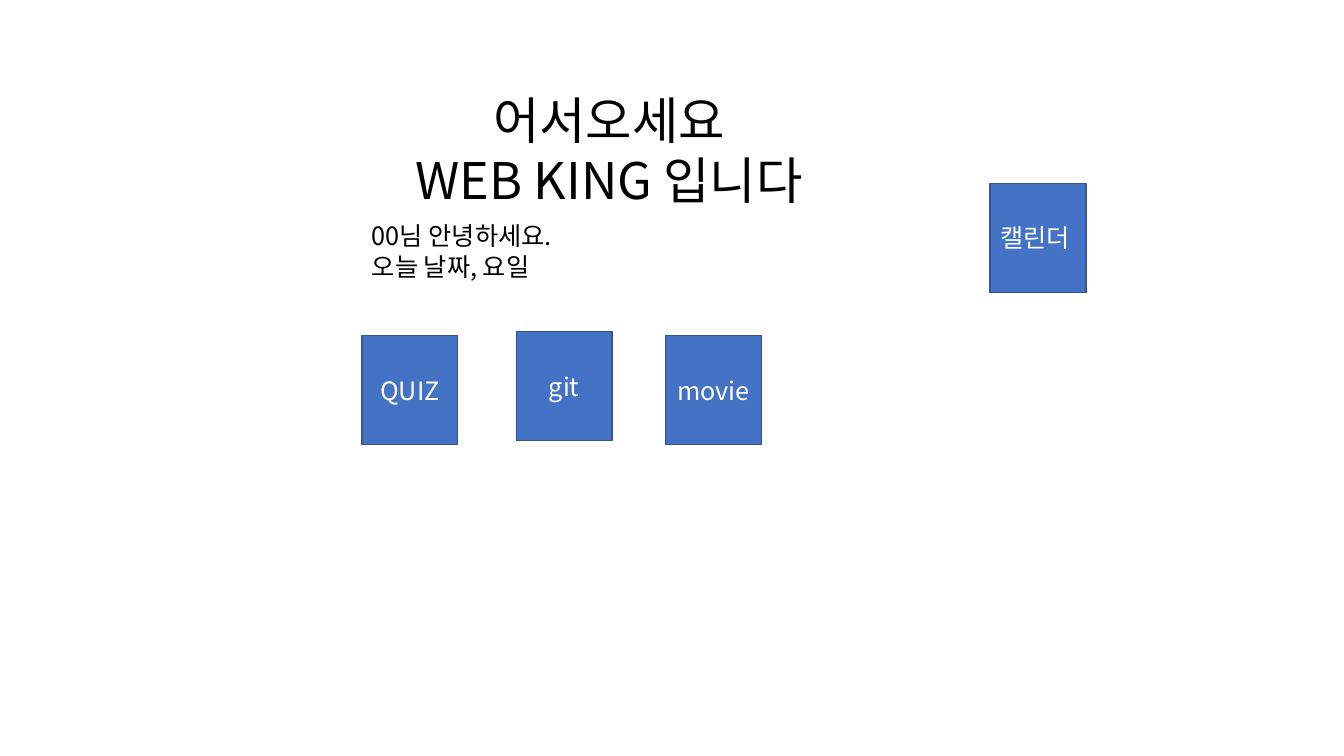
from dataclasses import dataclass

import pptx
import pptx.dml.color
import pptx.enum.shapes
import pptx.enum.text
import pptx.oxml.ns
import pptx.util
from lxml import etree
from pptx.util import Inches

FONT = "Noto Sans CJK KR"
TILE_WIDTH = 0.95
TILE_HEIGHT = 1.08
LEFT = pptx.enum.text.PP_ALIGN.LEFT
CENTER = pptx.enum.text.PP_ALIGN.CENTER


@dataclass
class Message:
    text: str
    left: float
    top: float
    width: float
    height: float
    size: int
    alignment: pptx.enum.text.PP_ALIGN


@dataclass
class Tile:
    label: str
    left: float
    top: float


MESSAGES = [
    Message("어서오세요\vWEB KING 입니다", 3.83, 0.83, 4.42, 1.31, 36, CENTER),
    Message("00님 안녕하세요.\v오늘 날짜, 요일", 3.59, 2.14, 2.48, 1.01, 18, LEFT),
]
TILES = [
    Tile("QUIZ", 3.59, 3.33),
    Tile("git", 5.12, 3.29),
    Tile("movie", 6.6, 3.33),
    Tile("캘린더 ", 9.82, 1.82),
]


def color(value: str) -> pptx.dml.color.RGBColor:
    return pptx.dml.color.RGBColor.from_string(value)


def write(frame, text: str, size: int, ink: str, alignment) -> None:
    frame.word_wrap = True
    para = frame.paragraphs[0]
    para.text = text
    para.alignment = alignment
    font = para.font
    font.name = FONT
    font.size = pptx.util.Pt(size)
    font.color.rgb = color(ink)
    east_asian = etree.SubElement(font._element, pptx.oxml.ns.qn("a:ea"))
    east_asian.set("typeface", FONT)


def draw_message(page, message: Message) -> None:
    box = page.shapes.add_textbox(
        Inches(message.left), Inches(message.top),
        Inches(message.width), Inches(message.height))
    write(box.text_frame, message.text, message.size, "000000", message.alignment)


def draw_tile(page, tile: Tile) -> None:
    box = page.shapes.add_shape(
        pptx.enum.shapes.MSO_SHAPE.RECTANGLE,
        Inches(tile.left), Inches(tile.top),
        Inches(TILE_WIDTH), Inches(TILE_HEIGHT))
    box.shadow.inherit = False
    box.fill.solid()
    box.fill.fore_color.rgb = color("4472C4")
    box.line.color.rgb = color("325491")
    box.line.width = pptx.util.Pt(1)
    box.text_frame.vertical_anchor = pptx.enum.text.MSO_ANCHOR.MIDDLE
    write(box.text_frame, tile.label, 18, "FFFFFF", CENTER)


def main() -> None:
    deck = pptx.Presentation()
    deck.slide_width = Inches(13.33)
    deck.slide_height = Inches(7.5)
    page = deck.slides.add_slide(deck.slide_layouts[6])
    for message in MESSAGES:
        draw_message(page, message)
    for tile in TILES:
        draw_tile(page, tile)
    deck.save("out.pptx")


if __name__ == "__main__":
    main()
